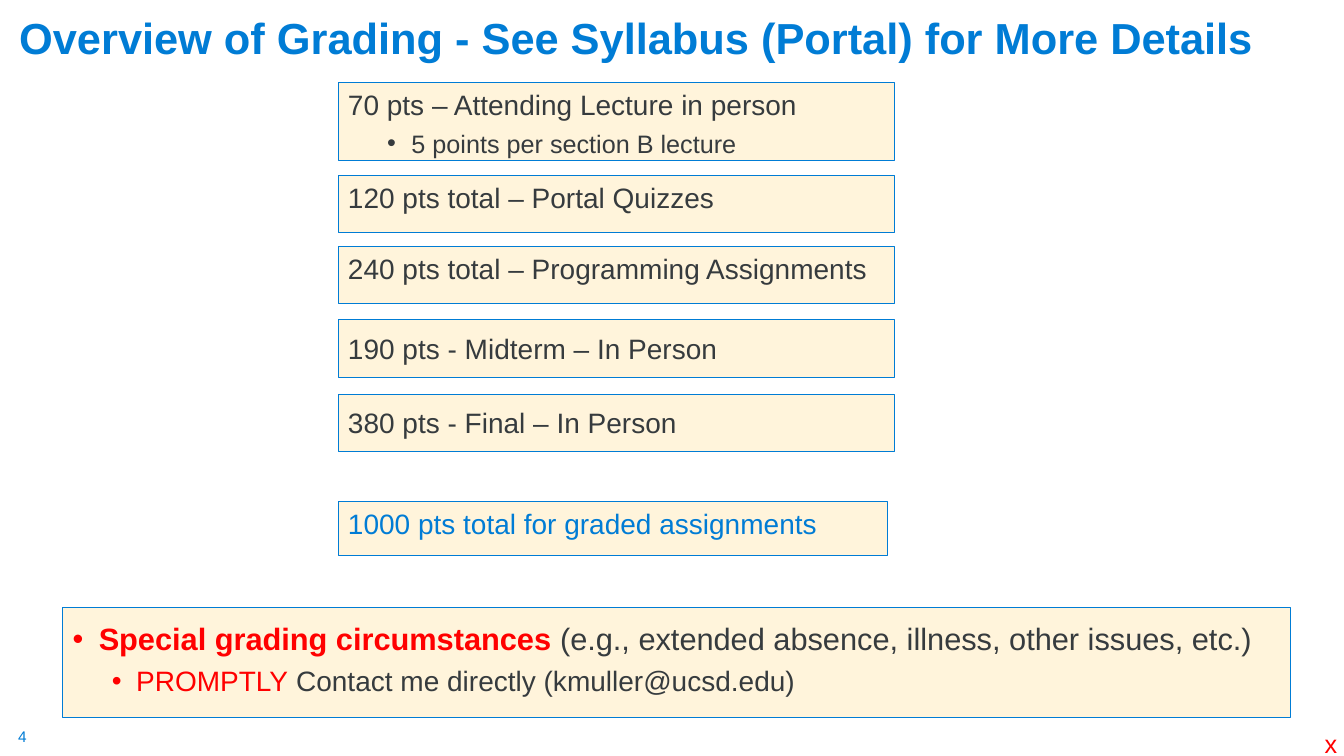
from dataclasses import dataclass

from lxml import etree
from pptx import Presentation
from pptx.dml.color import RGBColor
from pptx.enum import shapes, text
from pptx.oxml import ns
from pptx.util import Cm, Pt

BLUE, RED, DARK, CREAM = "007CD5", "FF0000", "363B3E", "FFF4DB"


@dataclass
class Span:
    words: str
    size: float = 20
    color: str = DARK
    bold: bool = False


@dataclass
class Para:
    spans: list[Span]
    level: int = 0
    indent: float = 0
    hanging: float = 0
    before: float = 0
    spacing: float = 1.0


@dataclass
class Panel:
    top: float
    height: float
    paras: list[Para]
    left: float = 8.52
    width: float = 14.02


def rgb(color: str) -> RGBColor:
    return RGBColor.from_string(color)


def add_bullet(paragraph, para: Para) -> None:
    props = paragraph._p.get_or_add_pPr()
    props.set("marL", str(Cm(para.indent)))
    props.set("indent", str(-Cm(para.hanging)))
    font = etree.SubElement(props, ns.qn("a:buFont"))
    font.set("typeface", "Arial")
    bullet = etree.SubElement(props, ns.qn("a:buChar"))
    bullet.set("char", "•")


def write(frame, paras: list[Para]) -> None:
    for index, para in enumerate(paras):
        paragraph = frame.paragraphs[0] if index == 0 else frame.add_paragraph()
        if para.hanging:
            add_bullet(paragraph, para)
        layout = {
            "alignment": text.PP_ALIGN.LEFT,
            "level": para.level,
            "line_spacing": para.spacing,
            "space_before": Pt(para.before),
        }
        for name, value in layout.items():
            setattr(paragraph, name, value)
        for span in para.spans:
            run = paragraph.add_run()
            run.text = span.words
            look = {"name": "Arial", "size": Pt(span.size), "bold": span.bold}
            for name, value in look.items():
                setattr(run.font, name, value)
            run.font.color.rgb = rgb(span.color)


def add_panel(page, panel: Panel) -> None:
    box = page.shapes.add_shape(
        shapes.MSO_SHAPE.RECTANGLE,
        Cm(panel.left), Cm(panel.top), Cm(panel.width), Cm(panel.height),
    )
    box.shadow.inherit = False
    box.fill.solid()
    box.fill.fore_color.rgb = rgb(CREAM)
    box.line.color.rgb = rgb(BLUE)
    box.line.width = Pt(0.75)
    box.text_frame.word_wrap = True
    box.text_frame.vertical_anchor = text.MSO_ANCHOR.TOP
    write(box.text_frame, panel.paras)


def add_label(page, left: float, top: float, width: float, height: float,
              span: Span, margin: float) -> None:
    box = page.shapes.add_textbox(Cm(left), Cm(top), Cm(width), Cm(height))
    frame = box.text_frame
    frame.word_wrap = False
    frame.auto_size = text.MSO_AUTO_SIZE.SHAPE_TO_FIT_TEXT
    for side, size in {"left": margin, "right": margin,
                       "top": margin / 2, "bottom": margin / 2}.items():
        setattr(frame, f"margin_{side}", Cm(size))
    write(frame, [Para([span])])


def set_title(page, words: str) -> None:
    title = page.shapes.title
    place = {"left": 0.23, "top": 0.28, "width": 33.65, "height": 1.45}
    for name, value in place.items():
        setattr(title, name, Cm(value))
    title.text_frame.word_wrap = True
    title.text_frame.auto_size = text.MSO_AUTO_SIZE.NONE
    title.text_frame.vertical_anchor = text.MSO_ANCHOR.BOTTOM
    write(title.text_frame, [Para([Span(words, 31, BLUE, True)], spacing=0.9)])


SUB_ITEM = {"level": 1, "indent": 1.6, "hanging": 0.61, "before": 5}

PANELS = [
    Panel(2.08, 1.97, [
        Para([Span("70 pts – Attending Lecture in person")]),
        Para([Span("5 points per section B lecture", 18)], **SUB_ITEM),
    ]),
    Panel(4.42, 1.45, [Para([Span("120 pts total – Portal Quizzes")])]),
    Panel(6.21, 1.45, [Para([Span("240 pts total – Programming Assignments")])]),
    Panel(8.06, 1.45, [Para([Span("190 pts - Midterm – In Person")], spacing=1.2)]),
    Panel(9.93, 1.45, [Para([Span("380 pts - Final – In Person")], spacing=1.2)]),
    Panel(12.64, 1.37, [
        Para([Span("1000 pts total for graded assignments", color=BLUE)]),
    ], width=13.85),
    Panel(15.31, 2.77, [
        Para([
            Span("Special grading circumstances ", 22, RED, True),
            Span("(e.g., extended absence, illness, other issues, etc.)", 22),
        ], indent=0.66, hanging=0.66, spacing=1.2),
        Para([
            Span("PROMPTLY", color=RED),
            Span(" Contact me directly (kmuller@ucsd.edu)"),
        ], **SUB_ITEM),
    ], left=1.58, width=30.94),
]


def main() -> None:
    deck = Presentation()
    deck.slide_width, deck.slide_height = Cm(33.87), Cm(19.05)
    page = deck.slides.add_slide(deck.slide_layouts[5])
    set_title(page, "Overview of Grading - See Syllabus (Portal) for More Details")
    for panel in PANELS:
        add_panel(page, panel)
    add_label(page, 0.46, 18.32, 0.48, 0.48, Span("4", 11, BLUE), 0)
    add_label(page, 33.13, 18.24, 0.84, 1.02, Span("x", 18, RED), 0.25)
    deck.save("out.pptx")


if __name__ == "__main__":
    main()
